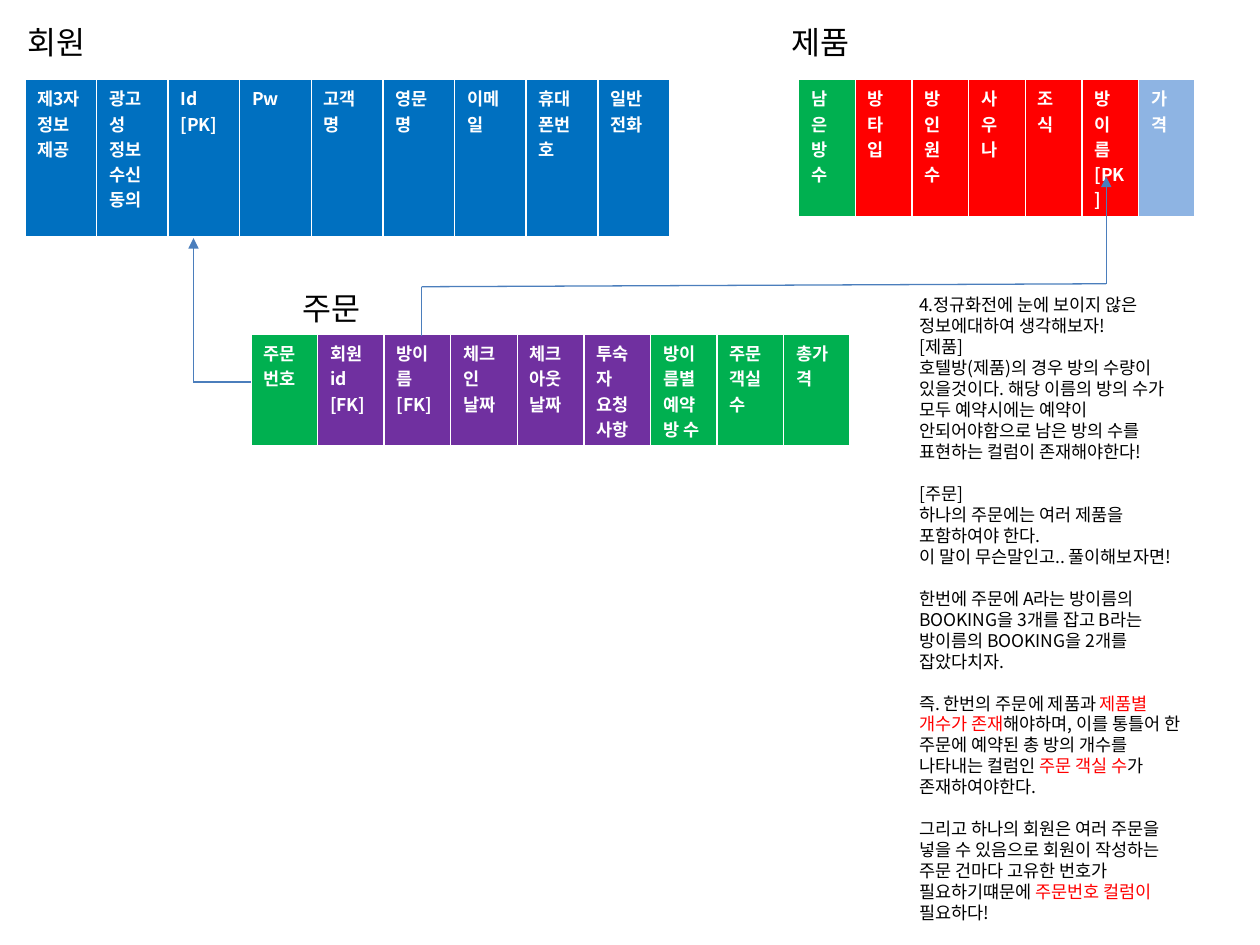
from dataclasses import dataclass

from lxml.etree import SubElement
from pptx import Presentation
from pptx.dml.color import RGBColor
from pptx.enum.shapes import MSO_CONNECTOR
from pptx.enum.text import MSO_AUTO_SIZE
from pptx.oxml.ns import qn
from pptx.util import Cm, Pt


@dataclass(frozen=True)
class Theme:
    font: str = "Noto Sans CJK KR"
    white: str = "FFFFFF"
    black: str = "000000"
    blue: str = "0070C0"
    green: str = "00B050"
    purple: str = "7030A0"
    red: str = "FF0000"
    pale_blue: str = "8EB4E3"
    relation: str = "4B7EBC"
    heading_size: int = 18
    body_size: int = 10
    line_factor: float = 1.2
    relation_width: float = 0.75


THEME = Theme()

# Columns of each entity, in order: (name, fill)
MEMBER = [(name, THEME.blue) for name in (
    "제3자 정보제공", "광고성 정보 수신 동의", "Id\n[PK]", "Pw", "고객명",
    "영문명", "이메일", "휴대폰번호", "일반전화")]
ORDER = [
    ("주문번호", THEME.green),
    ("회원id\n[FK]", THEME.purple),
    ("방이름\n[FK]", THEME.purple),
    ("체크인 날짜", THEME.purple),
    ("체크아웃 날짜", THEME.purple),
    ("투숙자 요청사항", THEME.purple),
    ("방이름별 예약 방 수", THEME.green),
    ("주문\n객실수", THEME.green),
    ("총가격", THEME.green),
]
PRODUCT = [
    ("남은방\n수", THEME.green),
    ("방타입", THEME.red),
    ("방\n인원 수", THEME.red),
    ("사우나", THEME.red),
    ("조식", THEME.red),
    ("방이름\n[PK]", THEME.red),
    ("가격", THEME.pale_blue),
]

# Explanation: blocks of paragraphs, paragraphs of (text, colour) runs
EXPLANATION = [
    [
        [("4.정규화전에 눈에 보이지 않은 정보에대하여 생각해보자!", THEME.black)],
        [("[제품]", THEME.black)],
        [("호텔방(제품)의 경우 방의 수량이 있을것이다. 해당 이름의 방의 수가 "
          "모두 예약시에는 예약이 안되어야함으로 남은 방의 수를 표현하는 "
          "컬럼이 존재해야한다!", THEME.black)],
    ],
    [
        [("[주문]", THEME.black)],
        [("하나의 주문에는 여러 제품을 포함하여야 한다.", THEME.black)],
        [("이 말이 무슨말인고.. 풀이해보자면!", THEME.black)],
    ],
    [
        [("한번에 주문에 A라는 방이름의 BOOKING을 3개를 잡고 B라는 방이름의 "
          "BOOKING을 2개를 잡았다치자.", THEME.black)],
    ],
    [
        [("즉. 한번의 주문에 제품과 ", THEME.black),
         ("제품별 개수가 존재", THEME.red),
         ("해야하며, 이를 통틀어 한 주문에 예약된 총 방의 개수를 나타내는 "
          "컬럼인 ", THEME.black),
         ("주문 객실 수", THEME.red),
         ("가 존재하여야한다.", THEME.black)],
    ],
    [
        [("그리고 하나의 회원은 여러 주문을 넣을 수 있음으로 회원이 작성하는 "
          "주문 건마다 고유한 번호가 필요하기떄문에 ", THEME.black),
         ("주문번호 컬럼이 ", THEME.red),
         ("필요하다!", THEME.black)],
    ],
]


def add_run(paragraph, text, size, color, bold=False):
    run = paragraph.add_run()
    run.text = text
    run.font.name = THEME.font
    run.font.size = Pt(size)
    run.font.bold = bold
    run.font.color.rgb = RGBColor.from_string(color)
    SubElement(run.font._element, qn("a:ea"), typeface=THEME.font)


def add_borders(cell):
    properties = cell._tc.get_or_add_tcPr()
    for side, width in (("L", 1), ("R", 1), ("T", 1), ("B", 3)):
        border = SubElement(properties, qn(f"a:ln{side}"), w=str(Pt(width)))
        fill = SubElement(border, qn("a:solidFill"))
        SubElement(fill, qn("a:srgbClr"), val=THEME.white)


def add_entity(slide, columns, left, top, width, height):
    table = slide.shapes.add_table(
        1, len(columns), Cm(left), Cm(top), Cm(width), Cm(height)).table
    for index, (name, color) in enumerate(columns):
        cell = table.cell(0, index)
        add_borders(cell)
        cell.fill.solid()
        cell.fill.fore_color.rgb = RGBColor.from_string(color)
        for number, line in enumerate(name.split("\n")):
            frame = cell.text_frame
            paragraph = frame.add_paragraph() if number else frame.paragraphs[0]
            add_run(paragraph, line, THEME.body_size, THEME.white, bold=True)


def add_text(slide, blocks, size, left, top, width, height):
    frame = slide.shapes.add_textbox(
        Cm(left), Cm(top), Cm(width), Cm(height)).text_frame
    frame.word_wrap = True
    frame.auto_size = MSO_AUTO_SIZE.SHAPE_TO_FIT_TEXT
    line_height = Pt(size * THEME.line_factor)
    paragraph = frame.paragraphs[0]
    for block_index, block in enumerate(blocks):
        for line_index, runs in enumerate(block):
            if block_index or line_index:
                paragraph = frame.add_paragraph()
            paragraph.line_spacing = line_height
            if block_index and not line_index:
                paragraph.space_before = line_height
            for text, color in runs:
                add_run(paragraph, text, size, color)


def add_heading(slide, text, left, top, width):
    add_text(slide, [[[(text, THEME.black)]]], THEME.heading_size,
             left, top, width, 1.02)


def add_relation(slide, points):
    """Draw straight segments through the points, with an arrow at the end."""
    for start, end in zip(points, points[1:]):
        segment = slide.shapes.add_connector(
            MSO_CONNECTOR.STRAIGHT, *(Cm(value) for value in start + end))
        segment.line.color.rgb = RGBColor.from_string(THEME.relation)
        segment.line.width = Pt(THEME.relation_width)
        if end == points[-1]:
            SubElement(segment.line._get_or_add_ln(), qn("a:tailEnd"),
                       type="triangle")
        SubElement(segment._element.spPr, qn("a:effectLst"))


def main():
    presentation = Presentation()
    presentation.slide_width, presentation.slide_height = Cm(25.4), Cm(19.05)
    slide = presentation.slides.add_slide(presentation.slide_layouts[6])

    # Entities
    add_entity(slide, MEMBER, 0.5, 1.6, 13, 3.2)
    add_entity(slide, ORDER, 5.06, 6.74, 12.08, 1.96)
    add_entity(slide, PRODUCT, 16.1, 1.6, 8, 0.98)

    # Foreign keys: order to member, order to product
    add_relation(slide, [(5.06, 7.7), (3.9, 7.7), (3.9, 4.8)])
    add_relation(slide, [(8.5, 6.77), (8.5, 5.78), (22.3, 5.72), (22.3, 3.56)])

    # Entity names
    add_heading(slide, "회원", 0.3, 0.33, 3.2)
    add_heading(slide, "제품", 15.7, 0.33, 3.2)
    add_heading(slide, "주문", 5.84, 5.7, 2.4)

    # Explanation
    add_text(slide, EXPLANATION, THEME.body_size, 18.28, 5.8, 6, 13.95)

    presentation.save("out.pptx")


if __name__ == "__main__":
    main()
